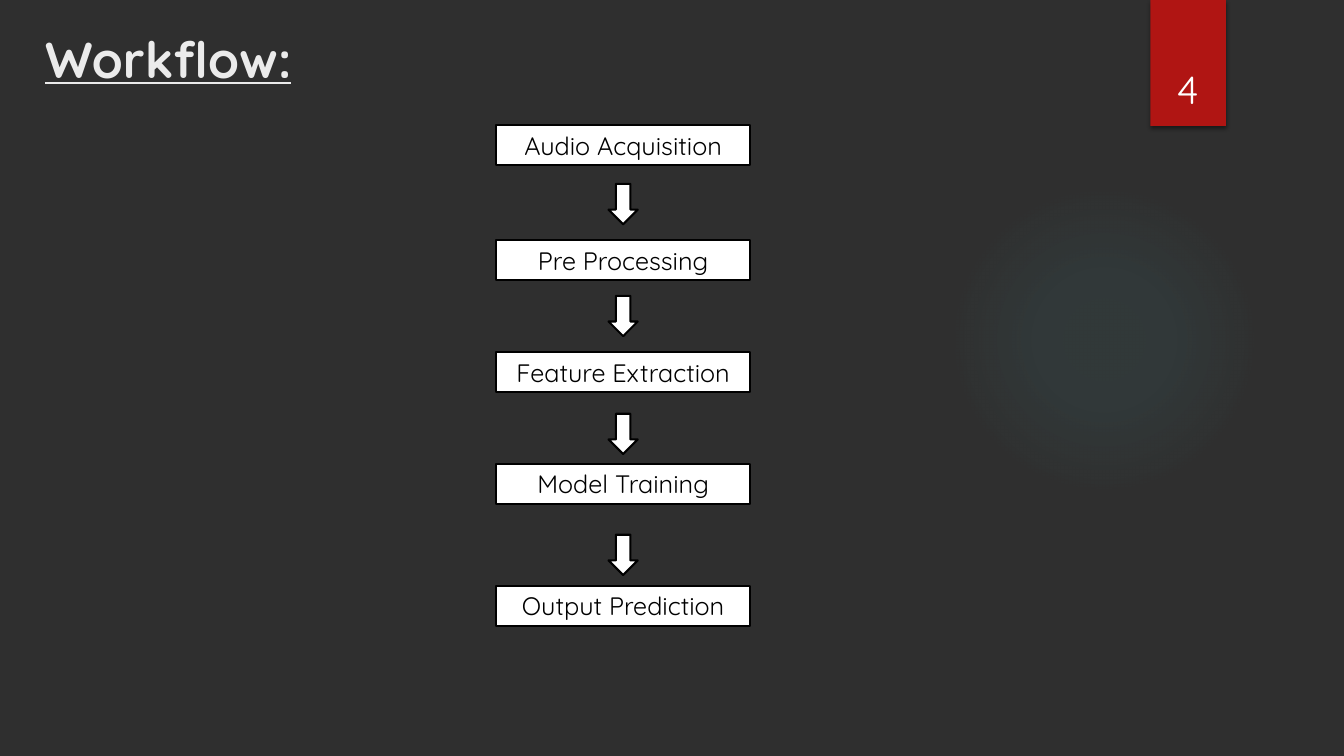
from lxml import etree
from pptx import Presentation
from pptx.dml.color import RGBColor
from pptx.enum.shapes import MSO_SHAPE
from pptx.enum.text import MSO_ANCHOR, PP_ALIGN
from pptx.oxml.ns import qn
from pptx.util import Inches, Pt

RECT, ELLIPSE, ARROW = MSO_SHAPE.RECTANGLE, MSO_SHAPE.OVAL, MSO_SHAPE.RIGHT_ARROW
LEFT, CENTER = PP_ALIGN.LEFT, PP_ALIGN.CENTER
MIDDLE, BOTTOM = MSO_ANCHOR.MIDDLE, MSO_ANCHOR.BOTTOM

FONT = "Quicksand"
COLORS = {
    "background": "2F2F2F",
    "glow": "50B9C1",
    "ribbon": "B01513",
    "title": "EBEBEB",
    "white": "FFFFFF",
    "black": "000000",
}
GLOW_STOPS = [(0, 7), (36, 6), (69, 0)]  # position %, opacity %

# Each step with its top and the top of the arrow that follows it
STEPS = [
    ("Audio Acquisition", 1.24, 1.88),
    ("Pre Processing", 2.38, 2.99),
    ("Feature Extraction", 3.49, 4.16),
    ("Model Training", 4.6, 5.36),
    ("Output Prediction", 5.81, None),
]


def rgb(name):
    return RGBColor.from_string(COLORS[name])


def add_color(parent, name, alpha):
    """Append a colour element with an opacity in percent."""
    color = etree.SubElement(parent, qn("a:srgbClr"), val=COLORS[name])
    etree.SubElement(color, qn("a:alpha"), val=str(alpha * 1000))


def add_shape(slide, kind, box, fill=None, line=None):
    sp = slide.shapes.add_shape(kind, *map(Inches, box))
    if fill:
        sp.fill.solid()
        sp.fill.fore_color.rgb = rgb(fill)
    else:
        sp.fill.background()
    if line:
        sp.line.color.rgb = rgb(line)
        sp.line.width = Pt(1.5)
    else:
        sp.line.fill.background()
    sp.shadow.inherit = False
    return sp


def set_text(sp, text, size, color, align=CENTER, anchor=MIDDLE):
    tf = sp.text_frame
    tf.word_wrap = True
    tf.vertical_anchor = anchor
    p = tf.paragraphs[0]
    p.text = text
    p.alignment = align
    p.font.name = FONT
    p.font.size = Pt(size)
    p.font.color.rgb = rgb(color)
    return p


def add_glow(slide, box):
    """Draw a circle that fades out from its centre."""
    sp = add_shape(slide, ELLIPSE, box)
    spPr = sp._element.spPr
    grad = etree.Element(qn("a:gradFill"), rotWithShape="1")
    stops = etree.SubElement(grad, qn("a:gsLst"))
    for pos, alpha in GLOW_STOPS:
        stop = etree.SubElement(stops, qn("a:gs"), pos=str(pos * 1000))
        add_color(stop, "glow", alpha)
    circle = etree.SubElement(grad, qn("a:path"), path="circle")
    etree.SubElement(circle, qn("a:fillToRect"), l="50000", t="50000", r="50000", b="50000")
    spPr.replace(spPr.find(qn("a:noFill")), grad)


def add_page_ribbon(slide, box, number):
    left, top, width, height = box
    ribbon = add_shape(slide, RECT, box, "ribbon")
    effects = ribbon._element.spPr.find(qn("a:effectLst"))
    shadow = etree.SubElement(effects, qn("a:outerShdw"), blurRad=str(Pt(3)),
                              dist=str(Pt(2)), dir="5400000", rotWithShape="0")
    add_color(shadow, "black", 45)
    label = slide.shapes.add_textbox(Inches(left - 0.09), Inches(top + 0.32),
                                     Inches(width + 0.17), Inches(height - 0.41))
    set_text(label, number, 28, "white", anchor=BOTTOM)


def add_title(slide, box, text):
    sp = slide.shapes.add_textbox(*map(Inches, box))
    p = set_text(sp, text, 36, "title", LEFT)
    p.font.bold = True
    p.font.underline = True


def add_workflow(slide, left, width):
    """Stack the steps in one column with an arrow below each but the last."""
    step_height, arrow_length, arrow_width = 0.4, 0.4, 0.29
    arrow_left = left + (width - arrow_length) / 2
    for text, top, arrow_top in STEPS:
        step = add_shape(slide, RECT, (left, top, width, step_height), "white", "black")
        set_text(step, text, 18, "black")
        if arrow_top is not None:
            arrow = add_shape(slide, ARROW, (arrow_left, arrow_top, arrow_length, arrow_width),
                              "white", "black")
            arrow.rotation = 90


def main():
    prs = Presentation()
    prs.slide_width, prs.slide_height = Inches(13.33), Inches(7.5)
    slide = prs.slides.add_slide(prs.slide_layouts[6])
    slide.background.fill.solid()
    slide.background.fill.fore_color.rgb = rgb("background")

    add_glow(slide, (9.41, 1.83, 3.08, 3.08))
    add_title(slide, (0.35, 0.2, 3.34, 0.75), "Workflow:")
    add_workflow(slide, 4.92, 2.52)
    add_page_ribbon(slide, (11.41, 0, 0.75, 1.25), "4")
    prs.save("out.pptx")


if __name__ == "__main__":
    main()
